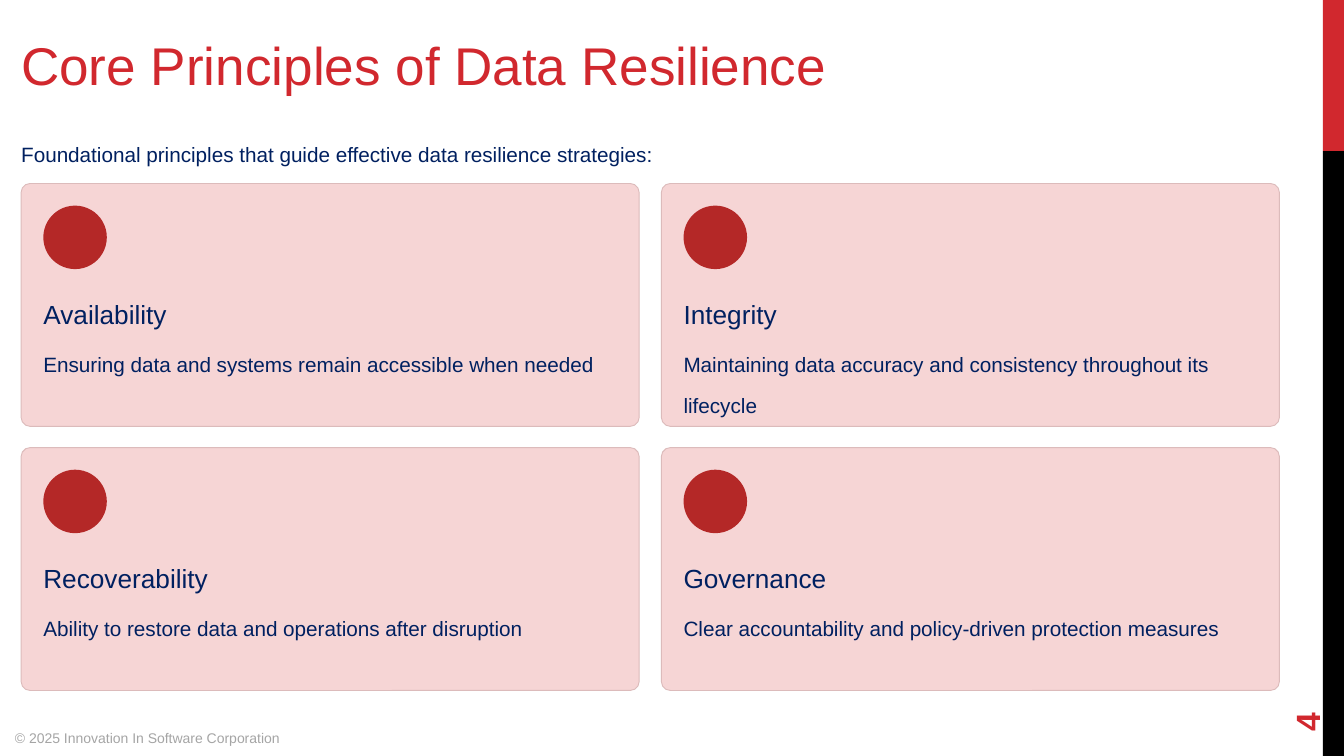
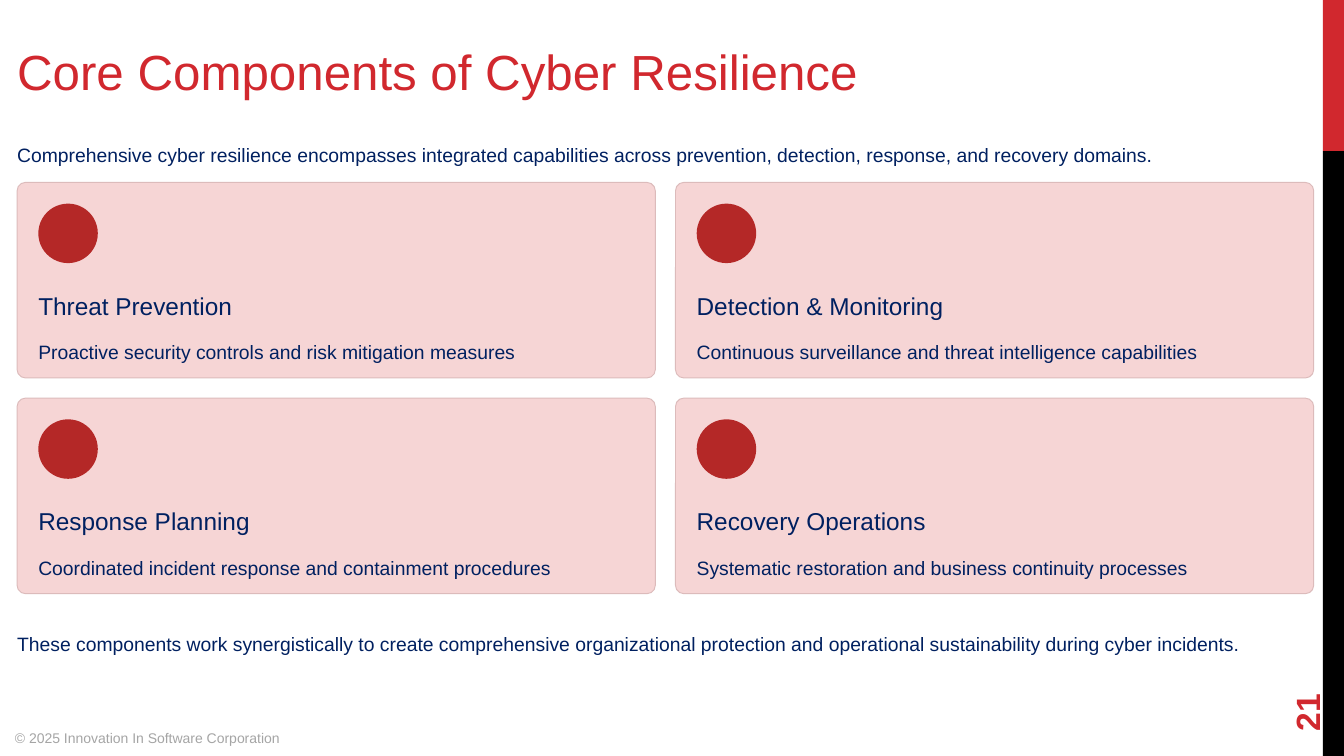
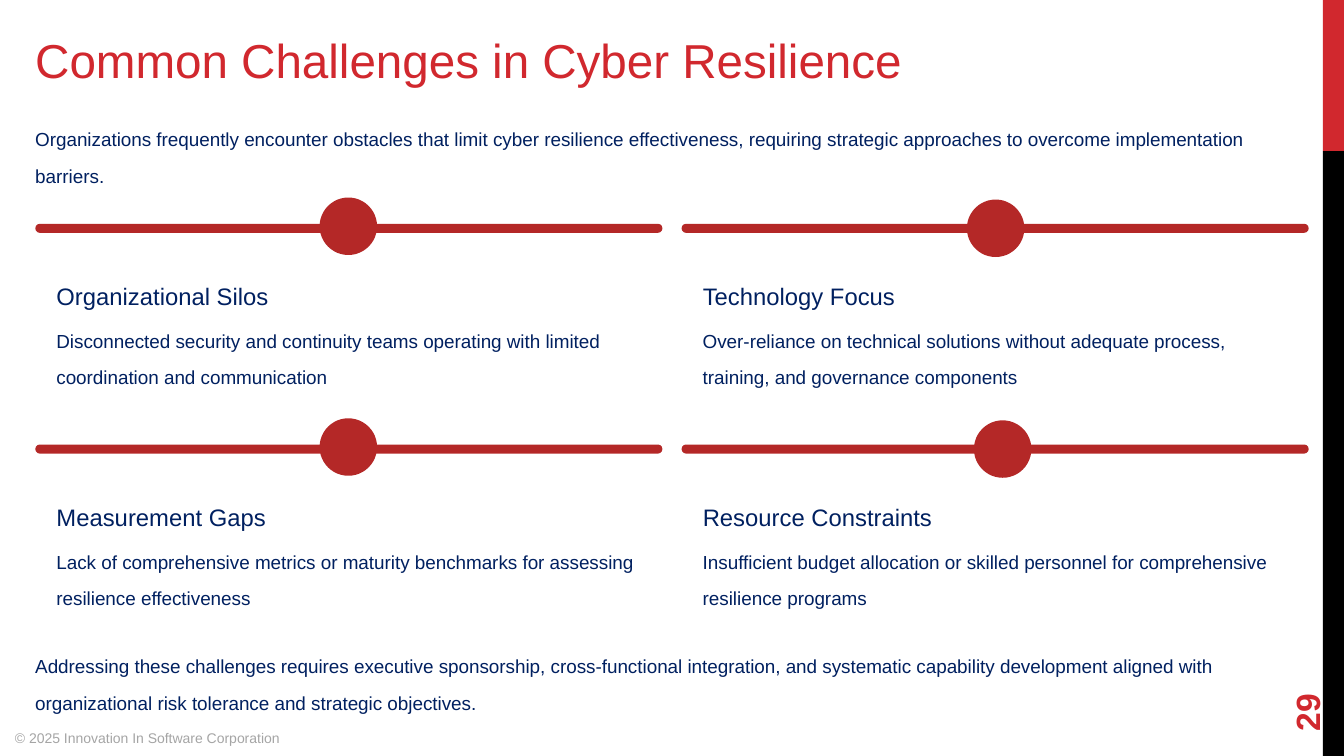
from pptx import Presentation
from pptx.dml.color import RGBColor
from pptx.enum.shapes import MSO_SHAPE
from pptx.enum.text import MSO_ANCHOR
from pptx.util import Inches, Pt

FONT = "Arial"
RED, BLACK, NAVY, GREY = "D1282E", "000000", "002060", "A5A5A5"
CARD, CARD_LINE, ACCENT = "F6D5D5", "DCBBBB", "B42827"
COPYRIGHT = "© 2025 Innovation In Software Corporation"

# Lengths are inches. Text styles are (size, line pitch) in points.
# Each text entry is (text, top, width, height); offsets count from a cell's corner.
SLIDES = [
    {
        "number": "4",
        "margin": 0.21,
        "styles": {"title": (37.9, 56.4), "heading": (18.7, 28.27), "body": (14.8, 28.77)},
        "title": ("Core Principles of Data Resilience", 0.17, 9.49, 0.66),
        "paragraphs": [
            ("Foundational principles that guide effective data resilience strategies:",
             1.25, 12.48, 0.34),
        ],
        "grid": {"top": 1.82, "width": 6.13, "height": 2.41, "gap_x": 0.22, "gap_y": 0.21},
        "pad": 0.22,
        "heading": (1.06, 2.64, 0.33),
        "body": (1.52, 5.7, 0.67),
        "card": {"radius": 0.037, "line": 0.65, "icon": 0.63},
        "items": [
            ("Availability", "Ensuring data and systems remain accessible when needed"),
            ("Integrity", "Maintaining data accuracy and consistency throughout its lifecycle"),
            ("Recoverability", "Ability to restore data and operations after disruption"),
            ("Governance", "Clear accountability and policy-driven protection measures"),
        ],
    },
    {
        "number": "21",
        "margin": 0.17,
        "styles": {"title": (35.2, 52.8), "heading": (17.4, 26.31), "body": (13.8, 27.32)},
        "title": ("Core Components of Cyber Resilience", 0.26, 9.16, 0.62),
        "paragraphs": [
            ("Comprehensive cyber resilience encompasses integrated capabilities across "
             "prevention, detection, response, and recovery domains.", 1.27, 12.87, 0.32),
            ("These components work synergistically to create comprehensive organizational "
             "protection and operational sustainability during cyber incidents.",
             6.12, 12.87, 0.63),
        ],
        "grid": {"top": 1.81, "width": 6.33, "height": 1.94, "gap_x": 0.2, "gap_y": 0.2},
        "pad": 0.21,
        "heading": (1.0, 2.56, 0.31),
        "body": (1.42, 5.93, 0.32),
        "card": {"radius": 0.043, "line": 0.67, "icon": 0.59},
        "items": [
            ("Threat Prevention", "Proactive security controls and risk mitigation measures"),
            ("Detection & Monitoring",
             "Continuous surveillance and threat intelligence capabilities"),
            ("Response Planning", "Coordinated incident response and containment procedures"),
            ("Recovery Operations", "Systematic restoration and business continuity processes"),
        ],
    },
    {
        "number": "29",
        "margin": 0.35,
        "styles": {"title": (34, 51.4), "heading": (17, 25.7), "body": (13.5, 26.08)},
        "title": ("Common Challenges in Cyber Resilience", 0.16, 10.27, 0.6),
        "paragraphs": [
            ("Organizations frequently encounter obstacles that limit cyber resilience "
             "effectiveness, requiring strategic approaches to overcome implementation "
             "barriers.", 1.13, 12.63, 0.61),
            ("Addressing these challenges requires executive sponsorship, cross-functional "
             "integration, and systematic capability development aligned with organizational "
             "risk tolerance and strategic objectives.", 6.36, 12.63, 0.61),
        ],
        "grid": {"top": 2.22, "width": 6.22, "height": 1.73, "gap_x": 0.19, "gap_y": 0.46},
        "pad": 0.21,
        "heading": (0.5, 2.38, 0.3),
        "body": (0.91, 5.8, 0.61),
        "bar": {"height": 0.09, "dot": 0.57,
                "dots": [(3.17, 1.96), (9.59, 1.98), (3.17, 4.15), (9.66, 4.17)]},
        "items": [
            ("Organizational Silos",
             "Disconnected security and continuity teams operating with limited "
             "coordination and communication"),
            ("Technology Focus",
             "Over-reliance on technical solutions without adequate process, training, "
             "and governance components"),
            ("Measurement Gaps",
             "Lack of comprehensive metrics or maturity benchmarks for assessing "
             "resilience effectiveness"),
            ("Resource Constraints",
             "Insufficient budget allocation or skilled personnel for comprehensive "
             "resilience programs"),
        ],
    },
]


def rgb(value):
    return RGBColor.from_string(value)


def add_box(slide, kind, box, fill, line=None, width=0.65, radius=None):
    sp = slide.shapes.add_shape(kind, *map(Inches, box))
    sp.shadow.inherit = False
    sp.fill.solid()
    sp.fill.fore_color.rgb = rgb(fill)
    if line:
        sp.line.color.rgb = rgb(line)
        sp.line.width = Pt(width)
    else:
        sp.line.fill.background()
    if radius is not None:
        sp.adjustments[0] = radius
    return sp


def add_text(slide, text, box, size, color=NAVY, pitch=None, bold=False, inset=(0, 0)):
    """Add one paragraph; pitch is its exact line spacing in points."""
    sp = slide.shapes.add_textbox(*map(Inches, box))
    tf = sp.text_frame
    tf.word_wrap = True
    tf.margin_left = tf.margin_right = Inches(inset[0])
    tf.margin_top = tf.margin_bottom = Inches(inset[1])
    p = tf.paragraphs[0]
    if pitch:
        p.line_spacing = Pt(pitch)
    r = p.add_run()
    r.text = text
    r.font.name = FONT
    r.font.size = Pt(size)
    r.font.bold = bold
    r.font.color.rgb = rgb(color)
    return sp


def add_frame(slide, number):
    """Draw the side bands, copyright line and turned page number."""
    add_box(slide, MSO_SHAPE.RECTANGLE, (13.12, 0, 0.21, 1.5), RED)
    add_box(slide, MSO_SHAPE.RECTANGLE, (13.12, 1.5, 0.21, 6), BLACK)
    inset = (0.1, 0.05)
    add_text(slide, COPYRIGHT, (0.05, 7.19, 5, 0.31), 10, GREY, inset=inset)
    sp = add_text(slide, number, (12.24, 6.37, 1.44, 0.53), 24, RED, bold=True, inset=inset)
    sp.rotation = 270
    sp.text_frame.vertical_anchor = MSO_ANCHOR.MIDDLE


def add_card(slide, x, y, grid, pad, card):
    add_box(slide, MSO_SHAPE.ROUNDED_RECTANGLE, (x, y, grid["width"], grid["height"]),
            CARD, CARD_LINE, card["line"], card["radius"])
    add_box(slide, MSO_SHAPE.OVAL, (x + pad, y + pad, card["icon"], card["icon"]), ACCENT)


def add_bar(slide, x, y, width, bar, dot):
    add_box(slide, MSO_SHAPE.ROUNDED_RECTANGLE, (x, y, width, bar["height"]),
            ACCENT, radius=0.5)
    add_box(slide, MSO_SHAPE.OVAL, (*dot, bar["dot"], bar["dot"]), ACCENT)


def add_content(slide, data):
    margin, grid, pad = data["margin"], data["grid"], data["pad"]

    def put(text, style, x, y, width, height, color=NAVY):
        size, pitch = data["styles"][style]
        add_text(slide, text, (x, y, width, height), size, color, pitch)

    title, *title_box = data["title"]
    put(title, "title", margin, *title_box, color=RED)
    for text, *box in data["paragraphs"]:
        put(text, "body", margin, *box)

    for i, texts in enumerate(data["items"]):
        row, col = divmod(i, 2)
        x = margin + col * (grid["width"] + grid["gap_x"])
        y = grid["top"] + row * (grid["height"] + grid["gap_y"])
        if "card" in data:
            add_card(slide, x, y, grid, pad, data["card"])
        else:
            add_bar(slide, x, y, grid["width"], data["bar"], data["bar"]["dots"][i])
        for text, style in zip(texts, ("heading", "body")):
            offset, width, height = data[style]
            put(text, style, x + pad, y + offset, width, height)


def main():
    prs = Presentation()
    prs.slide_width, prs.slide_height = Inches(13.33), Inches(7.5)
    for data in SLIDES:
        slide = prs.slides.add_slide(prs.slide_layouts[6])
        add_frame(slide, data["number"])
        add_content(slide, data)
    prs.save("out.pptx")


if __name__ == "__main__":
    main()
